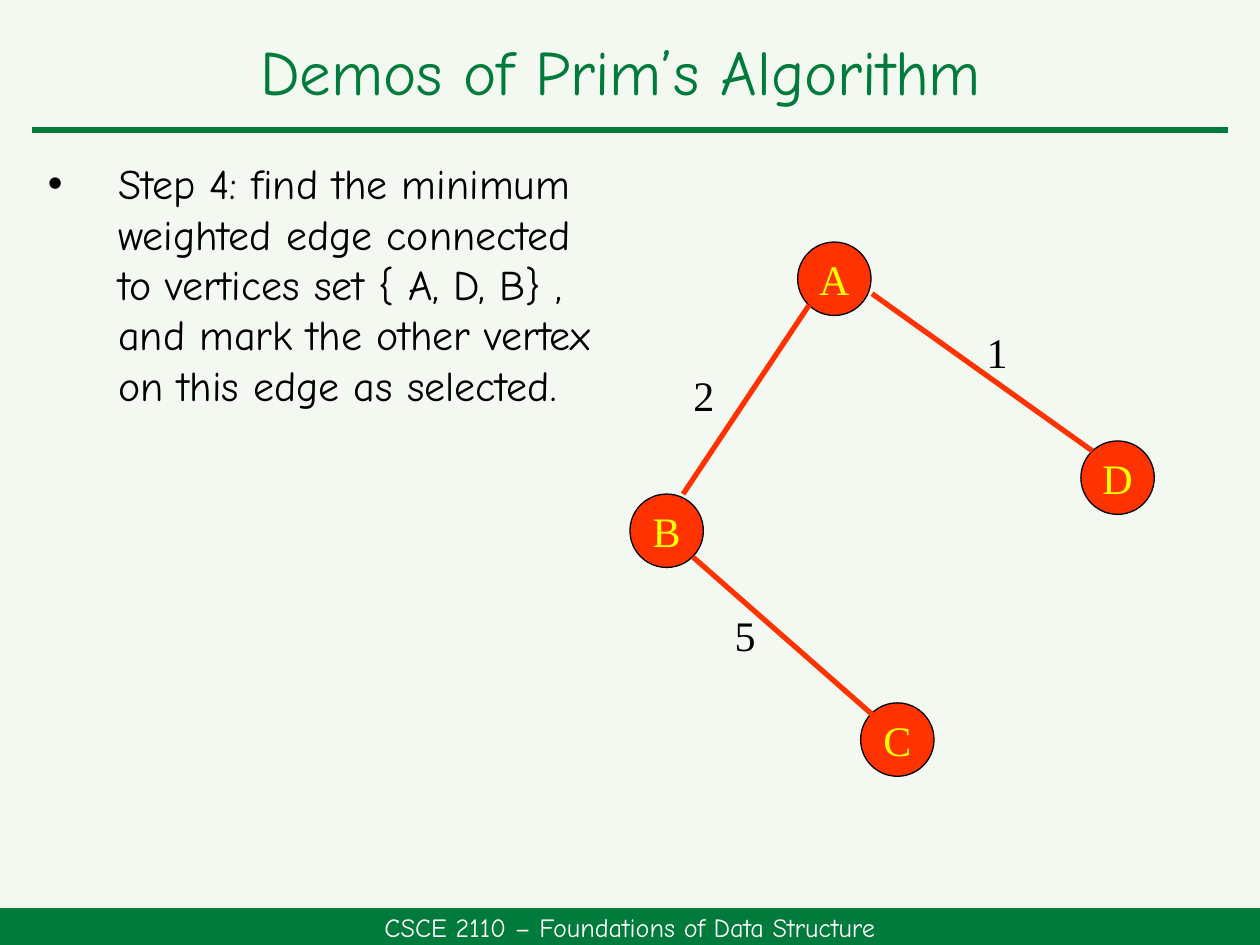
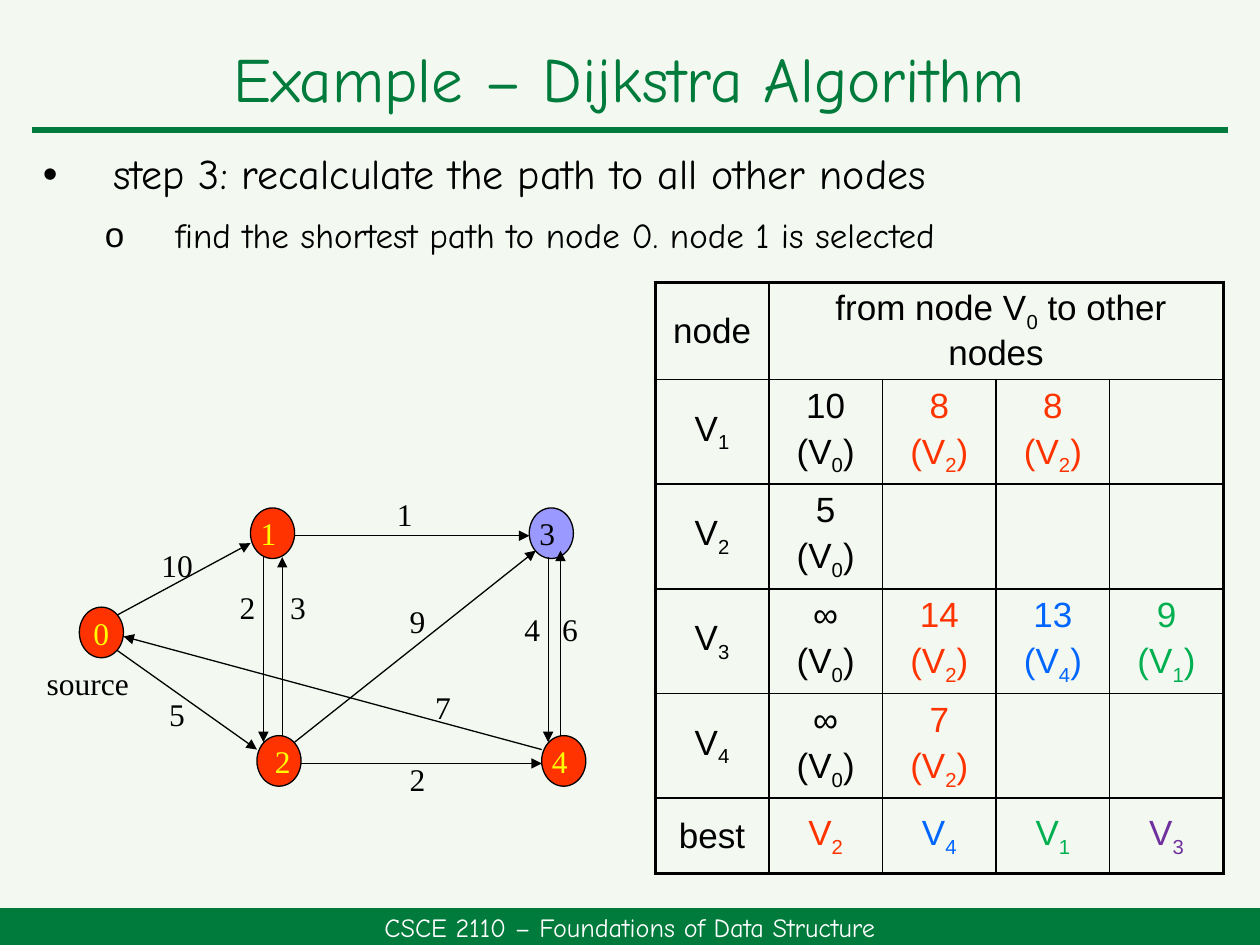
from lxml.etree import SubElement
from pptx import Presentation
from pptx.dml.color import RGBColor
from pptx.enum.shapes import MSO_CONNECTOR, MSO_SHAPE
from pptx.enum.text import MSO_ANCHOR, MSO_AUTO_SIZE, PP_ALIGN
from pptx.oxml.ns import qn
from pptx.util import Cm, Pt

GREEN, RED, LILAC = "007B3B", "FF3300", "9999FF"
BLACK, WHITE, YELLOW = "000000", "FFFFFF", "FFFF00"
BLUE, LIME, PLUM, PALE = "0066FF", "00B050", "7030A0", "F3F9F0"
HAND, SERIF, SANS = "Comic Neue", "Times New Roman", "Arial"
FOOTER = "CSCE 2110 – Foundations of Data Structure"

PRIM = {
    "title": ("Demos of Prim’s Algorithm ", (0.71, 0.43, 24.03, 2.18)),
    "body": (0.71, 3.05, 11.63, 12.07),
    "items": [("Step 4: find the minimum weighted edge connected to vertices set "
               "{ A, D, B} , and mark the other vertex on this edge as selected.", 0)],
    "pitch": 1.0,
    "size": 24,
    "node": (1.48, 1.48),
    "label": (1.7, 1.07),
    "line": (RED, 3, False),
    "nodes": [("A", 16.08, 4.88, RED, YELLOW), ("B", 12.7, 9.96, RED, YELLOW),
              ("C", 17.35, 14.17, RED, YELLOW), ("D", 21.79, 8.89, RED, YELLOW)],
    "edges": [((16.31, 6.15, 13.77, 9.96), "2", 13.34, 7.42),
              ((17.58, 5.92, 22.02, 9.09), "1", 19.25, 6.55),
              ((13.97, 11.23, 17.58, 14.4), "5", 14.17, 12.27)],
}
PATHS = {
    "title": ("Example – Dijkstra Algorithm", (0.61, 0.84, 24.13, 1.65)),
    "body": (0.61, 2.97, 24.13, 2.97),
    "items": [("step 3: recalculate the path to all other nodes", 0),
              ("find the shortest path to node 0. node 1 is selected", 1)],
    "pitch": 0.9,
    "size": 18,
    "node": (0.89, 1.02),
    "label": (1.14, 0.86),
    "line": (BLACK, 0.75, True),
    "nodes": [("0", 1.6, 12.24, RED, YELLOW), ("1 ", 5.05, 10.24, RED, YELLOW),
              (" 2", 5.18, 14.83, RED, YELLOW), ("3 ", 10.67, 10.24, LILAC, BLACK),
              ("4 ", 10.92, 14.83, RED, YELLOW)],
    "edges": [((2.36, 13.11, 5.18, 15.11), "5", 3, 13.97),
              ((2.36, 12.4, 5.05, 10.95), "10", 3, 10.95),
              ((5.31, 11.23, 5.31, 14.96), "2", 4.42, 11.81),
              ((5.69, 14.83, 5.69, 11.23), "3", 5.44, 11.81),
              ((5.94, 10.8, 10.67, 10.8), "1", 7.59, 9.93),
              ((6.07, 15.39, 10.92, 15.39), "2", 7.85, 15.27),
              ((10.92, 15.11, 2.49, 12.83), "7", 8.36, 13.82),
              ((11.05, 11.23, 11.05, 14.96), "4", 10.16, 12.24),
              ((5.94, 14.96, 10.8, 11.1), "9", 7.85, 12.09),
              ((11.3, 14.83, 11.3, 11.1), "6", 10.92, 12.24)],
}
SOURCE = ("source", (1.07, 13.34, 1.4, 0.86))
LEVELS = [("•", 1.42, 24), ("o", 2.67, 20)]
HANG = 1.42

GRID = [
    [("node", BLACK), (" from node V_0 to other nodes", BLACK), None, None, None],
    [("V_1", BLACK), ("10\n(V_0)", BLACK), ("8\n(V_2)", RED), ("8\n(V_2)", RED), None],
    [("V_2", BLACK), ("5\n(V_0)", BLACK), None, None, None],
    [("V_3", BLACK), ("∞\n(V_0)", BLACK), ("14\n(V_2)", RED), ("13\n(V_4)", BLUE),
     ("9\n(V_1)", LIME)],
    [("V_4", BLACK), ("∞\n(V_0)", BLACK), ("7\n(V_2)", RED), None, None],
    [("best", BLACK), ("V_2", RED), ("V_4", BLUE), ("V_1", LIME), ("V_3", PLUM)],
]
SPOT, COL = (13.21, 5.69), 2.29
ROWS = [1.96, 2.11, 2.11, 2.11, 2.11, 1.52]


def paint(code):
    return RGBColor.from_string(code)


def box(nums):
    return [Cm(n) for n in nums]


def write(para, text, font=SERIF, size=18, color=BLACK, align=PP_ALIGN.CENTER,
          pitch=None, before=0, after=0):
    para.alignment = align
    para.space_before, para.space_after = Pt(before), Pt(after)
    if pitch:
        para.line_spacing = pitch
    head, *rest = text.split("_")
    parts = [(head, False)]
    for part in rest:
        parts += [(part[0], True), (part[1:], False)]
    for part, low in parts:
        if part:
            run = para.add_run()
            run.text = part
            run.font.name, run.font.size = font, Pt(size)
            run.font.color.rgb = paint(color)
            if low:
                run._r.get_or_add_rPr().set("baseline", "-25000")


def fit(frame, wrap):
    frame.word_wrap = wrap
    frame.auto_size = MSO_AUTO_SIZE.NONE
    frame.vertical_anchor = MSO_ANCHOR.MIDDLE


def place(shape, nums):
    shape.left, shape.top, shape.width, shape.height = box(nums)


def form(slide, kind, nums, fill, edge=None):
    shape = slide.shapes.add_shape(kind, *box(nums))
    shape.shadow.inherit = False
    shape.fill.solid()
    shape.fill.fore_color.rgb = paint(fill)
    if edge:
        shape.line.color.rgb = paint(edge)
        shape.line.width = Pt(0.75)
    else:
        shape.line.fill.background()
    fit(shape.text_frame, False)
    return shape


def link(slide, ends, color, width, arrow=False):
    line = slide.shapes.add_connector(MSO_CONNECTOR.STRAIGHT, *box(ends))
    line.line.color.rgb = paint(color)
    line.line.width = Pt(width)
    if arrow:
        SubElement(line.line._get_or_add_ln(), qn("a:tailEnd"), type="triangle")
    SubElement(line._element.spPr, qn("a:effectLst"))
    return line


def label(slide, text, nums, size):
    frame = slide.shapes.add_textbox(*box(nums)).text_frame
    fit(frame, False)
    write(frame.paragraphs[0], text, size=size)


def bullet(para, level):
    mark, left, _ = LEVELS[level]
    para.level = level
    props = para._p.get_or_add_pPr()
    props.set("marL", str(Cm(left)))
    props.set("indent", str(-Cm(HANG)))
    SubElement(props, qn("a:buFont"), typeface=SANS)
    SubElement(props, qn("a:buChar"), char=mark)


def dress(deck, slide):
    master = deck.slide_master
    master.background.fill.solid()
    master.background.fill.fore_color.rgb = paint(PALE)
    rule = link(slide, (0.64, 2.62, 24.76, 2.62), GREEN, 3)
    band = form(slide, MSO_SHAPE.RECTANGLE, (0, 18.31, 25.4, 0.74), GREEN)
    write(band.text_frame.paragraphs[0], FOOTER, font=HAND, size=15, color=WHITE)
    for num, part in enumerate((rule, band), 20):
        part._element.xpath(".//p:cNvPr")[0].set("id", str(num))
        master.shapes._spTree.append(part._element)


def outline(slide, data):
    text, nums = data["title"]
    title, body = slide.shapes.title, slide.placeholders[1]
    place(title, nums)
    fit(title.text_frame, True)
    write(title.text_frame.paragraphs[0], text, font=HAND, size=36, color=GREEN, pitch=0.9)
    place(body, data["body"])
    frame = body.text_frame
    fit(frame, True)
    frame.vertical_anchor = MSO_ANCHOR.TOP
    for num, (text, level) in enumerate(data["items"]):
        para = frame.add_paragraph() if num else frame.paragraphs[0]
        bullet(para, level)
        write(para, text, font=HAND, size=LEVELS[level][2], align=PP_ALIGN.LEFT,
              pitch=data["pitch"], before=5 if num else 0, after=6)


def graph(slide, data):
    for text, left, top, fill, ink in data["nodes"]:
        node = form(slide, MSO_SHAPE.OVAL, (left, top, *data["node"]), fill, BLACK)
        write(node.text_frame.paragraphs[0], text, size=data["size"], color=ink)
    for ends, _, _, _ in data["edges"]:
        link(slide, ends, *data["line"])
    for _, text, left, top in data["edges"]:
        label(slide, text, (left, top, *data["label"]), data["size"])


def border(cell, sides):
    props = cell._tc.get_or_add_tcPr()
    for side, outer in zip("LRTB", sides):
        line = SubElement(props, qn("a:ln" + side), w=str(Pt(2.25 if outer else 1)))
        fill = SubElement(line, qn("a:solidFill"))
        SubElement(fill, qn("a:srgbClr"), val=BLACK)


def table(slide):
    count = len(GRID[0])
    size = (*SPOT, COL * count, sum(ROWS))
    grid = slide.shapes.add_table(len(GRID), count, *box(size)).table
    grid.first_row = grid.horz_banding = False
    for col in grid.columns:
        col.width = Cm(COL)
    for row, tall in zip(grid.rows, ROWS):
        row.height = Cm(tall)
    grid.cell(0, 1).merge(grid.cell(0, count - 1))
    for y, row in enumerate(GRID):
        for x, item in enumerate(row):
            cell = grid.cell(y, x)
            last = x == count - 1 or cell.is_merge_origin
            border(cell, (x == 0, last, y == 0, y == len(GRID) - 1))
            cell.fill.background()
            cell.vertical_anchor = MSO_ANCHOR.MIDDLE
            if item:
                text, color = item
                frame = cell.text_frame
                for num, part in enumerate(text.split("\n")):
                    para = frame.add_paragraph() if num else frame.paragraphs[0]
                    write(para, part, font=SANS, size=20, color=color,
                          before=4 if num else 0)


def main():
    deck = Presentation()
    deck.slide_width, deck.slide_height = Cm(25.4), Cm(19.05)
    prim, paths = [deck.slides.add_slide(deck.slide_layouts[1]) for _ in range(2)]
    dress(deck, prim)
    for slide, data in ((prim, PRIM), (paths, PATHS)):
        outline(slide, data)
        graph(slide, data)
    label(paths, *SOURCE, PATHS["size"])
    table(paths)
    deck.save("out.pptx")


if __name__ == "__main__":
    main()
